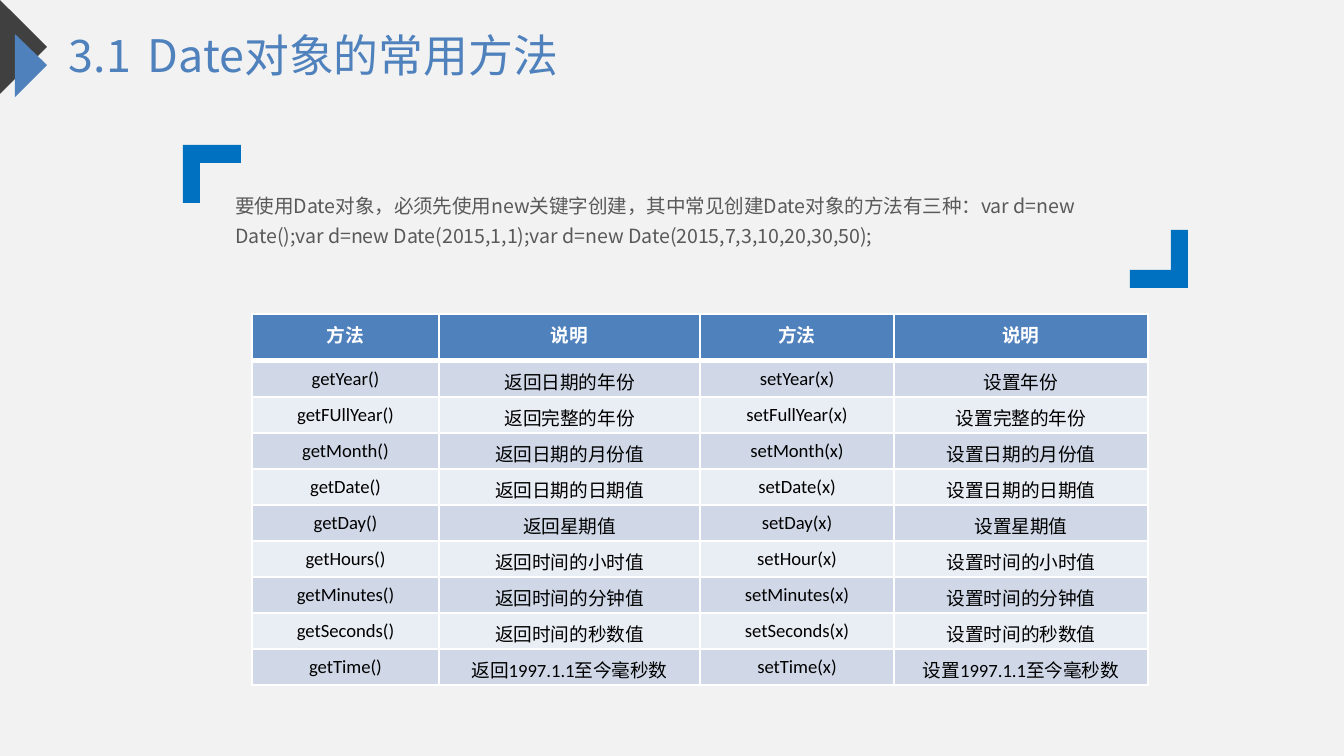
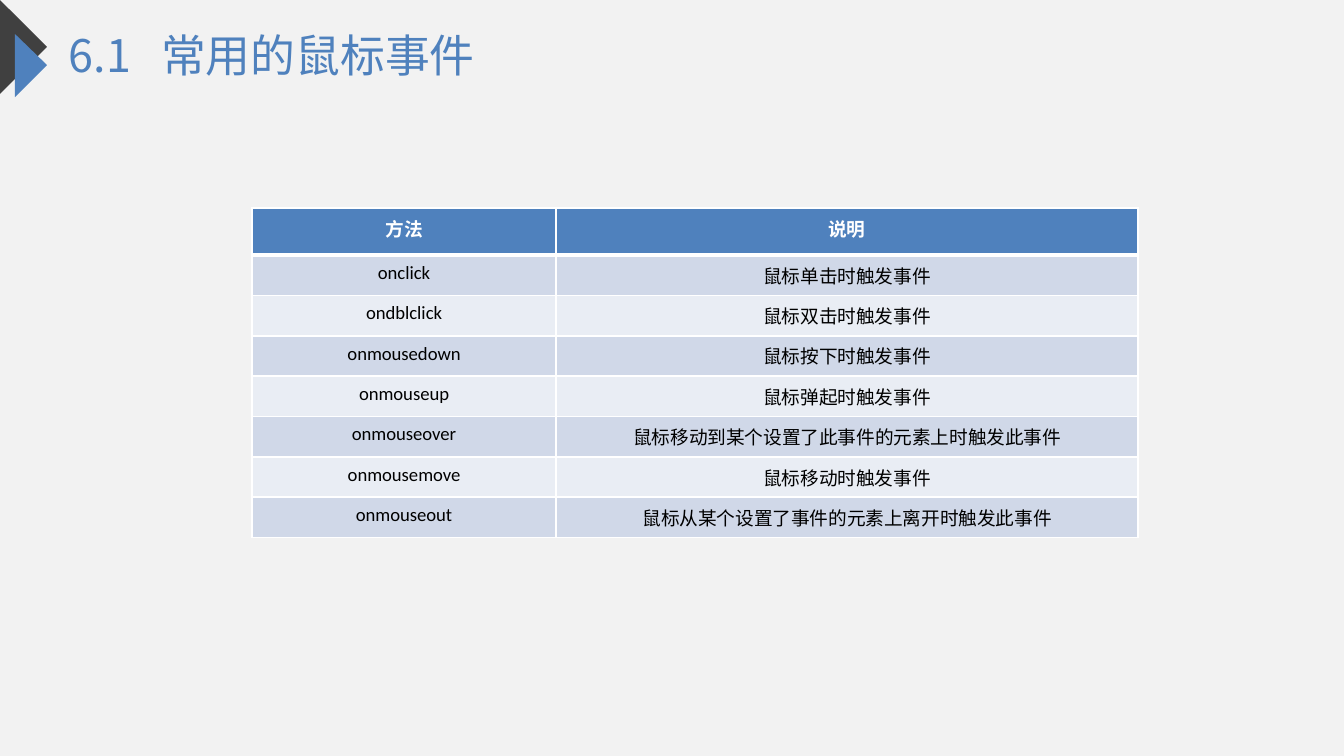
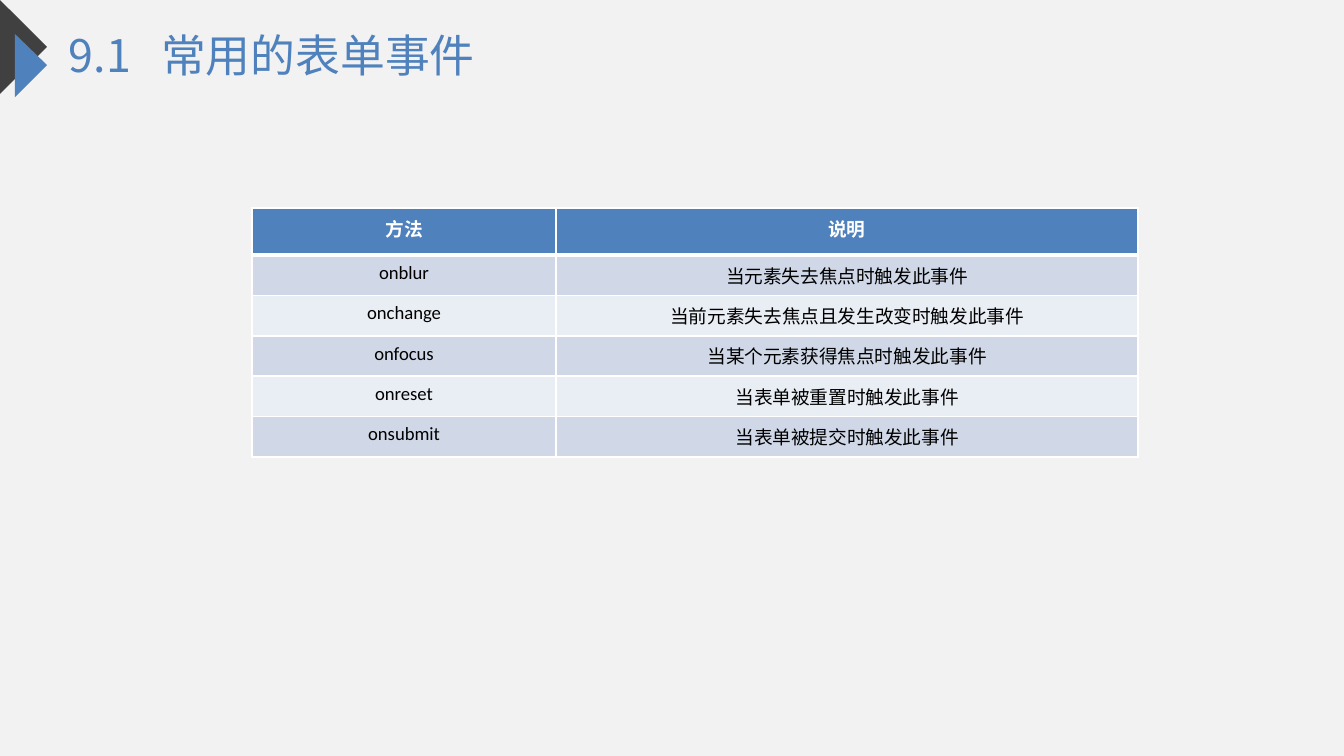
"""Build three slides on date methods, mouse events and form events."""
from dataclasses import dataclass

from lxml.etree import SubElement
from pptx import Presentation
from pptx.dml.color import RGBColor
from pptx.enum.text import MSO_ANCHOR, MSO_AUTO_SIZE, PP_ALIGN
from pptx.oxml.ns import qn
from pptx.slide import Slide
from pptx.text.text import _Paragraph as Para
from pptx.util import Emu, Pt

SCALE = 914400 / 134.4
PAPER = RGBColor(0xF2, 0xF2, 0xF2)
DARK = RGBColor(0x40, 0x40, 0x40)
BLUE = RGBColor(0x4F, 0x81, 0xBD)
BRIGHT = RGBColor(0x00, 0x70, 0xC0)
GREY = RGBColor(0x59, 0x59, 0x59)
WHITE = RGBColor(0xFF, 0xFF, 0xFF)
BLACK = RGBColor(0x00, 0x00, 0x00)
BANDS = (RGBColor(0xD0, 0xD8, 0xE8), RGBColor(0xE9, 0xED, 0xF4))
SANS = "Noto Sans CJK SC"
BODY = "Calibri"
HEAD_HIGH, ROW_HIGH = 47, 36
TABLE_LEFT = 252

Points = list[tuple[int, int]]


@dataclass(frozen=True)
class Outline:
    points: Points
    color: RGBColor


@dataclass(frozen=True)
class Title:
    number: str
    text: str
    width: int
    tab: int


@dataclass(frozen=True)
class Grid:
    top: int
    widths: list[int]
    rows: list[tuple[str, ...]]


@dataclass(frozen=True)
class Page:
    title: Title
    grid: Grid
    intro: str = ""


ARROWS = [
    Outline([(0, 0), (47, 47), (0, 94)], DARK),
    Outline([(15, 34), (47, 65), (15, 97)], BLUE),
]
CORNER = [(183, 145), (241, 145), (241, 163), (200, 163), (200, 203), (183, 203)]
TURNED = [(1371 - x, 433 - y) for x, y in CORNER]
BRACKETS = [Outline(CORNER, BRIGHT), Outline(TURNED, BRIGHT)]

HEAD = ("方法", "说明")
EVENT_WIDTHS = [304, 582]
PAGES = [
    Page(
        Title("3.1", "Date对象的常用方法", 509, 79),
        Grid(314, [187, 261, 194, 254], [
            HEAD * 2,
            ("getYear()", "返回日期的年份", "setYear(x)", "设置年份"),
            ("getFUllYear()", "返回完整的年份", "setFullYear(x)", "设置完整的年份"),
            ("getMonth()", "返回日期的月份值", "setMonth(x)", "设置日期的月份值"),
            ("getDate()", "返回日期的日期值", "setDate(x)", "设置日期的日期值"),
            ("getDay()", "返回星期值", "setDay(x)", "设置星期值"),
            ("getHours()", "返回时间的小时值", "setHour(x)", "设置时间的小时值"),
            ("getMinutes()", "返回时间的分钟值", "setMinutes(x)", "设置时间的分钟值"),
            ("getSeconds()", "返回时间的秒数值", "setSeconds(x)", "设置时间的秒数值"),
            ("getTime()", "返回1997.1.1至今毫秒数", "setTime(x)", "设置1997.1.1至今毫秒数"),
        ]),
        "要使用Date对象，必须先使用new关键字创建，其中常见创建Date对象的方法有三种："
        "var d=new Date();var d=new Date(2015,1,1);var d=new Date(2015,7,3,10,20,30,50);",
    ),
    Page(
        Title("6.1", "常用的鼠标事件", 407, 92),
        Grid(208, EVENT_WIDTHS, [
            HEAD,
            ("onclick", "鼠标单击时触发事件"),
            ("ondblclick", "鼠标双击时触发事件"),
            ("onmousedown", "鼠标按下时触发事件"),
            ("onmouseup", "鼠标弹起时触发事件"),
            ("onmouseover", "鼠标移动到某个设置了此事件的元素上时触发此事件"),
            ("onmousemove", "鼠标移动时触发事件"),
            ("onmouseout", "鼠标从某个设置了事件的元素上离开时触发此事件"),
        ]),
    ),
    Page(
        Title("9.1", "常用的表单事件", 407, 92),
        Grid(208, EVENT_WIDTHS, [
            HEAD,
            ("onblur", "当元素失去焦点时触发此事件"),
            ("onchange", "当前元素失去焦点且发生改变时触发此事件"),
            ("onfocus", "当某个元素获得焦点时触发此事件"),
            ("onreset", "当表单被重置时触发此事件"),
            ("onsubmit", "当表单被提交时触发此事件"),
        ]),
    ),
]


def px(length: int) -> Emu:
    """Turn pixels into EMU."""
    return Emu(round(length * SCALE))


def set_font(para: Para, name: str, size: float, color: RGBColor, bold: bool = False) -> None:
    """Set the font of a whole paragraph."""
    font = para.font
    font.name, font.size, font.bold = name, Pt(size), bold
    font.color.rgb = color
    if name == SANS:
        SubElement(para._p.pPr.find(qn("a:defRPr")), qn("a:ea"), typeface=name)


def draw_outline(slide: Slide, item: Outline) -> None:
    """Draw a closed, filled outline."""
    maker = slide.shapes.build_freeform(*item.points[0], scale=SCALE)
    maker.add_line_segments(item.points[1:], close=True)
    shape = maker.convert_to_shape()
    shape.shadow.inherit = False
    shape.fill.solid()
    shape.fill.fore_color.rgb = item.color
    shape.line.fill.background()


def draw_title(slide: Slide, title: Title) -> None:
    """Place the title, with a tab after its number."""
    shape = slide.shapes.title
    shape.left, shape.top, shape.width, shape.height = map(px, (69, 28, title.width, 54))
    frame = shape.text_frame
    frame.margin_left = frame.margin_top = frame.margin_right = frame.margin_bottom = 0
    frame.auto_size = MSO_AUTO_SIZE.NONE
    frame.vertical_anchor = MSO_ANCHOR.TOP
    frame.word_wrap = True
    frame.text = f"{title.number}\t{title.text}"
    para = frame.paragraphs[0]
    para.alignment = PP_ALIGN.LEFT
    tabs = SubElement(para._p.pPr, qn("a:tabLst"))
    SubElement(tabs, qn("a:tab"), pos=str(px(title.tab)), algn="l")
    set_font(para, SANS, 24, BLUE)


def draw_intro(slide: Slide, text: str) -> None:
    """Draw the opening text between its two corner brackets."""
    for item in BRACKETS:
        draw_outline(slide, item)
    frame = slide.shapes.add_textbox(*map(px, (222, 180, 942, 75))).text_frame
    frame.word_wrap = True
    frame.text = text
    para = frame.paragraphs[0]
    para.line_spacing = 1.3
    set_font(para, SANS, 10.5, GREY)


def draw_grid(slide: Slide, grid: Grid) -> None:
    """Draw a table with a blue head and banded rows."""
    heights = [HEAD_HIGH] + [ROW_HIGH] * (len(grid.rows) - 1)
    box = map(px, (TABLE_LEFT, grid.top, sum(grid.widths), sum(heights)))
    table = slide.shapes.add_table(len(grid.rows), len(grid.widths), *box).table
    for column, width in zip(table.columns, grid.widths):
        column.width = px(width)
    for index, (row, high, texts) in enumerate(zip(table.rows, heights, grid.rows)):
        row.height = px(high)
        head = index == 0
        edges = {"L": 1, "R": 1, "T": 3 if index == 1 else 1, "B": 3 if head else 1}
        for cell, text in zip(row.cells, texts):
            cell.text = text
            para = cell.text_frame.paragraphs[0]
            para.alignment = PP_ALIGN.CENTER
            set_font(para, BODY, 10, WHITE if head else BLACK, head)
            props = cell._tc.get_or_add_tcPr()
            for side, weight in edges.items():
                line = SubElement(props, qn(f"a:ln{side}"), w=str(Pt(weight)))
                fill = SubElement(line, qn("a:solidFill"))
                SubElement(fill, qn("a:srgbClr"), val=str(WHITE))
            cell.fill.solid()
            cell.fill.fore_color.rgb = BLUE if head else BANDS[(index - 1) % 2]


def main() -> None:
    """Build and save the deck."""
    deck = Presentation()
    deck.slide_width, deck.slide_height = px(1344), px(756)
    paper = deck.slide_master.background.fill
    paper.solid()
    paper.fore_color.rgb = PAPER
    for page in PAGES:
        slide = deck.slides.add_slide(deck.slide_layouts[5])
        for item in ARROWS:
            draw_outline(slide, item)
        draw_title(slide, page.title)
        if page.intro:
            draw_intro(slide, page.intro)
        draw_grid(slide, page.grid)
    deck.save("out.pptx")


if __name__ == "__main__":
    main()
